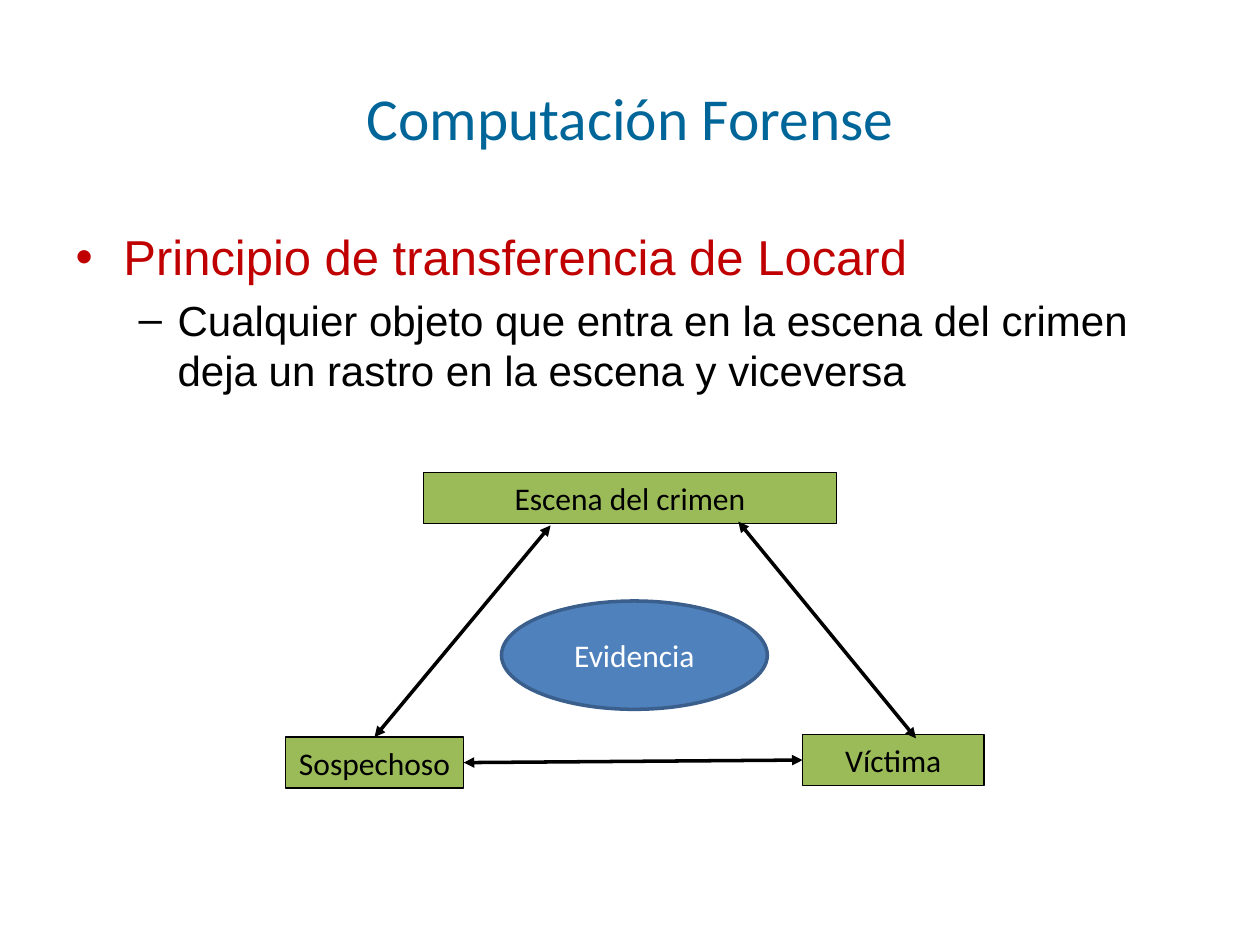
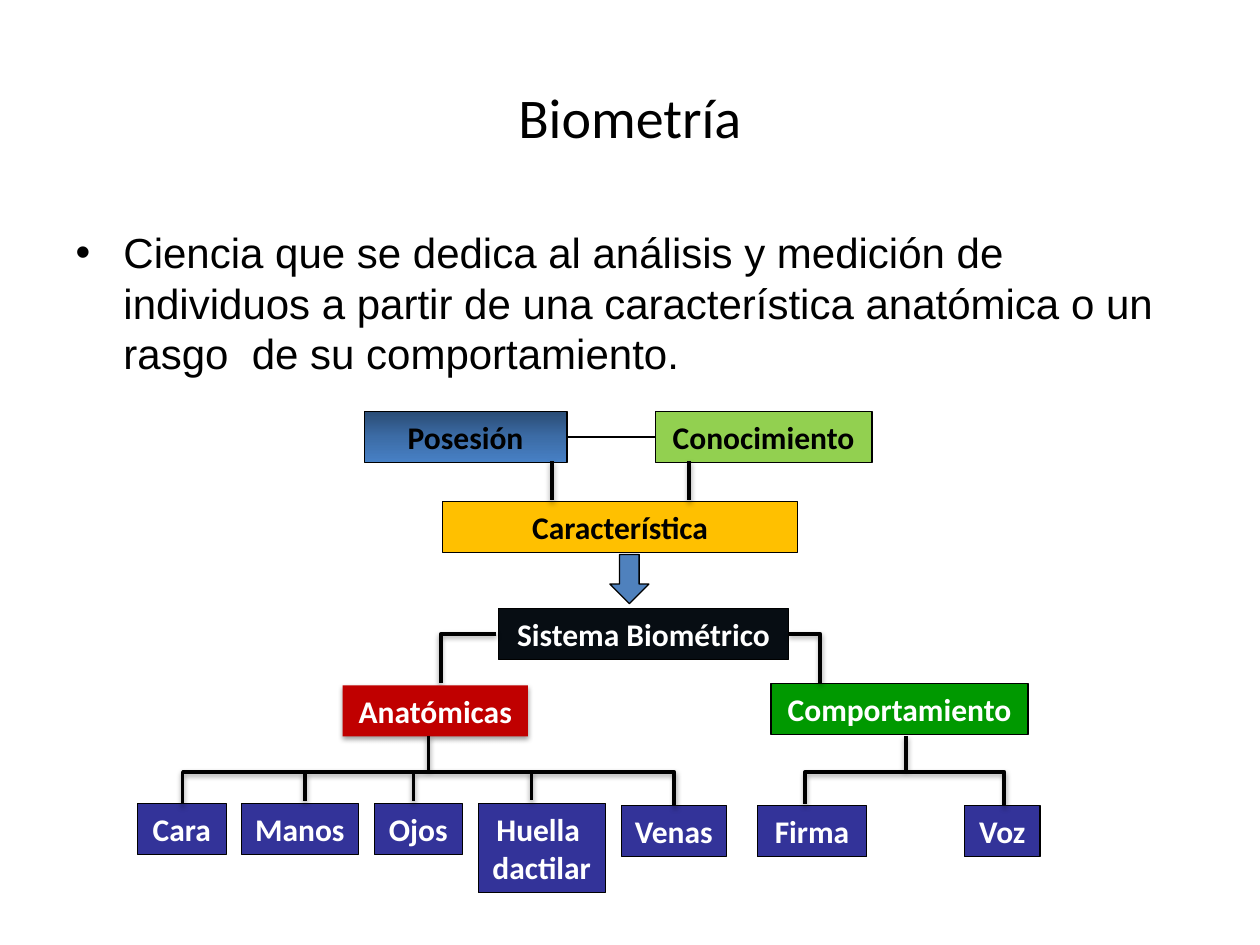
from copy import deepcopy

from lxml import etree
from pptx import Presentation
from pptx.dml.color import RGBColor
from pptx.enum.shapes import MSO_CONNECTOR, MSO_SHAPE
from pptx.enum.text import MSO_ANCHOR, PP_ALIGN
from pptx.oxml.ns import qn
from pptx.util import Inches, Pt

RECTANGLE = MSO_SHAPE.RECTANGLE
ELLIPSE = MSO_SHAPE.OVAL
DOWN_ARROW = MSO_SHAPE.DOWN_ARROW
STRAIGHT = MSO_CONNECTOR.STRAIGHT
CENTER = PP_ALIGN.CENTER
MIDDLE = MSO_ANCHOR.MIDDLE
TOP, LEFT, RIGHT = 0, 1, 3

BLACK = RGBColor(0x00, 0x00, 0x00)
WHITE = RGBColor(0xFF, 0xFF, 0xFF)
TEAL = RGBColor(0x00, 0x66, 0x99)
RED = RGBColor(0xC0, 0x00, 0x00)
OLIVE = RGBColor(0x9B, 0xBB, 0x59)
BLUE = RGBColor(0x4F, 0x81, 0xBD)
DARK_BLUE = RGBColor(0x3A, 0x5F, 0x8C)
LIME = RGBColor(0x92, 0xD0, 0x50)
AMBER = RGBColor(0xFF, 0xC0, 0x00)
NIGHT = RGBColor(0x07, 0x0D, 0x13)
GREEN = RGBColor(0x00, 0x99, 0x00)
INDIGO = RGBColor(0x33, 0x33, 0x99)
POSSESSION_STOPS = (
    (0, RGBColor(0x2A, 0x4C, 0x75)),
    (0.5, RGBColor(0x3C, 0x6C, 0xA6)),
    (1, RGBColor(0x47, 0x80, 0xC5)),
)

HEADING_FONT, BODY_FONT = "Calibri", "Arial"
CELL = Inches(0.1)
ROW = 4.05
TITLE_AREA = (5, 3, 90, 12.5)
BODY_AREA = (5, 17.5, 90, 49.5)
MAIN_BULLET = ("•", 0.38, 0.38)
SUB_BULLET = ("–", 0.81, 0.31)


def grid(*cells):
    return [round(cell * CELL) for cell in cells]


def set_font(para, name, size, color, bold=False):
    para.font.name = name
    para.font.size = Pt(size)
    para.font.color.rgb = color
    para.font.bold = bold


def place(shape, area):
    shape.left, shape.top, shape.width, shape.height = grid(*area)


def set_bullet(para, symbol, margin, hanging):
    properties = para._p.get_or_add_pPr()
    properties.set("marL", str(Inches(margin)))
    properties.set("indent", str(-Inches(hanging)))
    etree.SubElement(properties, qn("a:buFont"), typeface=BODY_FONT)
    etree.SubElement(properties, qn("a:buChar"), char=symbol)


def set_effects(shape, shadow):
    properties = shape._element.spPr
    for old in properties.findall(qn("a:effectLst")):
        properties.remove(old)
    effects = etree.SubElement(properties, qn("a:effectLst"))
    if shadow:
        outer = etree.SubElement(effects, qn("a:outerShdw"), blurRad=str(Pt(3.1)),
                                 dist=str(Pt(1.6)), dir="5400000", rotWithShape="0")
        color = etree.SubElement(outer, qn("a:srgbClr"), val=str(BLACK))
        etree.SubElement(color, qn("a:alpha"), val="38000")


def add_page(deck, title, size, color, items):
    page = deck.slides.add_slide(deck.slide_layouts[1])
    heading, body = page.placeholders
    place(heading, TITLE_AREA)
    place(body, BODY_AREA)
    heading.text_frame.text = title
    heading.text_frame.vertical_anchor = MIDDLE
    para = heading.text_frame.paragraphs[0]
    para.alignment = CENTER
    set_font(para, HEADING_FONT, size, color)
    frame = body.text_frame
    frame.text = "\n".join(item[0] for item in items)
    for para, (text, bullet, size, color) in zip(frame.paragraphs, items):
        set_bullet(para, *bullet)
        set_font(para, BODY_FONT, size, color)
    frame.paragraphs[0].space_before = Pt(0)
    return page


def add_box(page, area, fill, text="", color=BLACK, bold=False, kind=RECTANGLE,
            outline=BLACK, weight=0.75, shadow=False):
    box = page.shapes.add_shape(kind, *grid(*area))
    box.fill.solid()
    box.fill.fore_color.rgb = fill
    if outline is None:
        box.line.fill.background()
    else:
        box.line.color.rgb = outline
        box.line.width = Pt(weight)
    set_effects(box, shadow)
    if text:
        frame = box.text_frame
        frame.word_wrap = False
        frame.vertical_anchor = MIDDLE
        frame.text = text
        for para in frame.paragraphs:
            para.alignment = CENTER
            set_font(para, HEADING_FONT, 18, color, bold)
    return box


def fill_gradient(box, stops):
    box.fill.gradient()
    box.fill.gradient_angle = 270
    stop_list = box._element.spPr.find(".//" + qn("a:gsLst"))
    while len(stop_list) > len(stops):
        stop_list.remove(stop_list[-1])
    while len(stop_list) < len(stops):
        stop_list.append(deepcopy(stop_list[0]))
    for stop, (position, color) in zip(box.fill.gradient_stops, stops):
        stop.position = position
        stop.color.rgb = color


def add_line(page, start, end, weight=2, arrows=False, shadow=False):
    line = page.shapes.add_connector(STRAIGHT, *grid(*start, *end))
    line.line.color.rgb = BLACK
    line.line.width = Pt(weight)
    if arrows:
        outline = line._element.spPr.find(qn("a:ln"))
        for tip in ("a:headEnd", "a:tailEnd"):
            etree.SubElement(outline, qn(tip), type="triangle")
    set_effects(line, shadow)
    return line


def add_bracket(page, *points):
    start, *rest = [grid(*point) for point in points]
    builder = page.shapes.build_freeform(*start)
    builder.add_line_segments(rest, close=False)
    bracket = builder.convert_to_shape()
    bracket.fill.background()
    bracket.line.color.rgb = BLACK
    bracket.line.width = Pt(2)
    set_effects(bracket, True)


def add_forensics_page(deck):
    page = add_page(deck, "Computación Forense", 34, TEAL, [
        ("Principio de transferencia de Locard", MAIN_BULLET, 28, RED),
        ("Cualquier objeto que entra en la escena del crimen deja un rastro "
         "en la escena y viceversa", SUB_BULLET, 24, BLACK),
    ])
    add_box(page, (33.6, 37.5, 32.8, ROW), OLIVE, "Escena del crimen")
    suspect = add_box(page, (22.65, 58.5, 14.15, ROW), OLIVE, "Sospechoso")
    victim = add_box(page, (63.7, 58.3, 14.4, ROW), OLIVE, "Víctima")
    add_box(page, (39.8, 47.7, 21.1, 8.6), BLUE, "Evidencia", WHITE,
            kind=ELLIPSE, outline=DARK_BLUE, weight=2)
    scene_suspect = add_line(page, (29.7, 58.6), (43.7, 41.7), arrows=True)
    scene_suspect.begin_connect(suspect, TOP)
    add_line(page, (58.6, 41.4), (72.7, 58.6), arrows=True)
    suspect_victim = add_line(page, (36.9, 60.5), (63.8, 60.3), arrows=True)
    suspect_victim.begin_connect(suspect, RIGHT)
    suspect_victim.end_connect(victim, LEFT)


def add_biometrics_page(deck):
    page = add_page(deck, "Biometría", 32, BLACK, [
        ("Ciencia que se dedica al análisis y medición de individuos a partir de una "
         "característica anatómica o un rasgo  de su comportamiento.",
         MAIN_BULLET, 24, BLACK),
    ])
    possession = add_box(page, (28.9, 32.65, 16.1, ROW), BLUE, "Posesión", bold=True)
    fill_gradient(possession, POSSESSION_STOPS)
    knowledge = add_box(page, (52, 32.65, 17.2, ROW), LIME, "Conocimiento", bold=True)
    add_box(page, (35.15, 39.8, 28.15, ROW), AMBER, "Característica", bold=True)
    link = add_line(page, (45, 34.7), (52, 34.7), weight=1.5)
    link.begin_connect(possession, RIGHT)
    link.end_connect(knowledge, LEFT)
    for column in (43.8, 54.7):
        add_line(page, (column, 36.6), (column, 39.7), shadow=True)

    add_box(page, (48.4, 44, 3.1, 3.9), BLUE, kind=DOWN_ARROW)
    add_box(page, (39.55, 48.3, 23.05, ROW), NIGHT, "Sistema Biométrico", WHITE, True)
    add_bracket(page, (39.4, 50.3), (35, 50.3), (35, 54.2))
    add_box(page, (27.2, 54.4, 14.7, ROW), RED, "Anatómicas", WHITE, True,
            outline=None, shadow=True)
    add_box(page, (61.2, 54.25, 20.4, ROW), GREEN, "Comportamiento", WHITE, True)
    add_bracket(page, (62.6, 50.3), (65.1, 50.3), (65.1, 54.2))

    leaves = (
        ("Cara", 10.9, 63.75, 7.05, ROW),
        ("Manos", 19.15, 63.75, 9.3, ROW),
        ("Ojos", 29.7, 63.75, 7, ROW),
        ("Huella \ndactilar", 37.95, 63.75, 10.1, 7.1),
        ("Venas", 49.3, 63.9, 8.35, ROW),
        ("Firma", 60.1, 63.95, 8.7, ROW),
        ("Voz", 76.55, 63.95, 6, ROW),
    )
    for text, *area in leaves:
        add_box(page, area, INDIGO, text, WHITE, True)
    for first, last in ((14.5, 53.5), (63.9, 79.7)):
        add_bracket(page, (first, 63.8), (first, 61.25), (last, 61.25), (last, 63.9))
    for column, top, bottom in ((34, 58.4, 61.1), (71.9, 58.4, 61.1),
                                (24.2, 61.4, 63.6), (32.8, 61.4, 63.6),
                                (42.2, 61.3, 63.5)):
        add_line(page, (column, top), (column, bottom), shadow=True)


def main():
    deck = Presentation()
    deck.slide_width, deck.slide_height = grid(100, 75)
    add_forensics_page(deck)
    add_biometrics_page(deck)
    deck.save("out.pptx")


if __name__ == "__main__":
    main()
